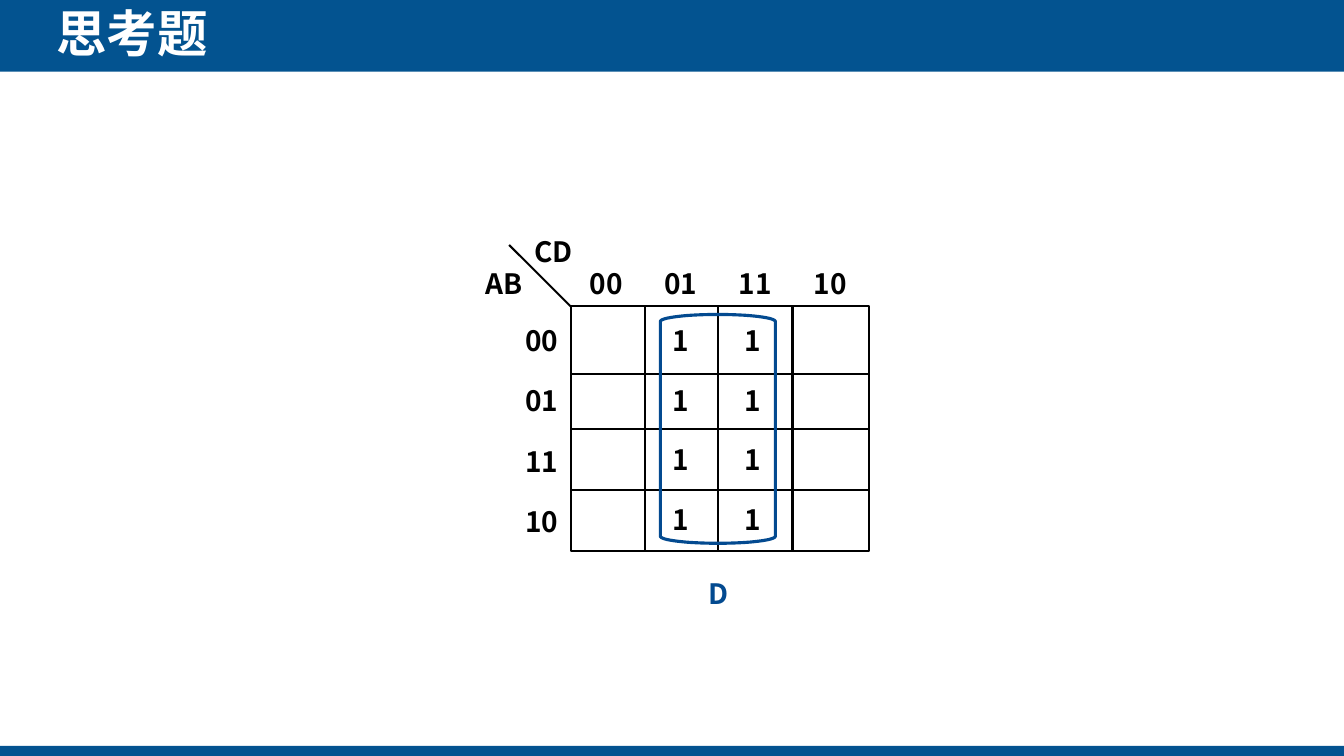
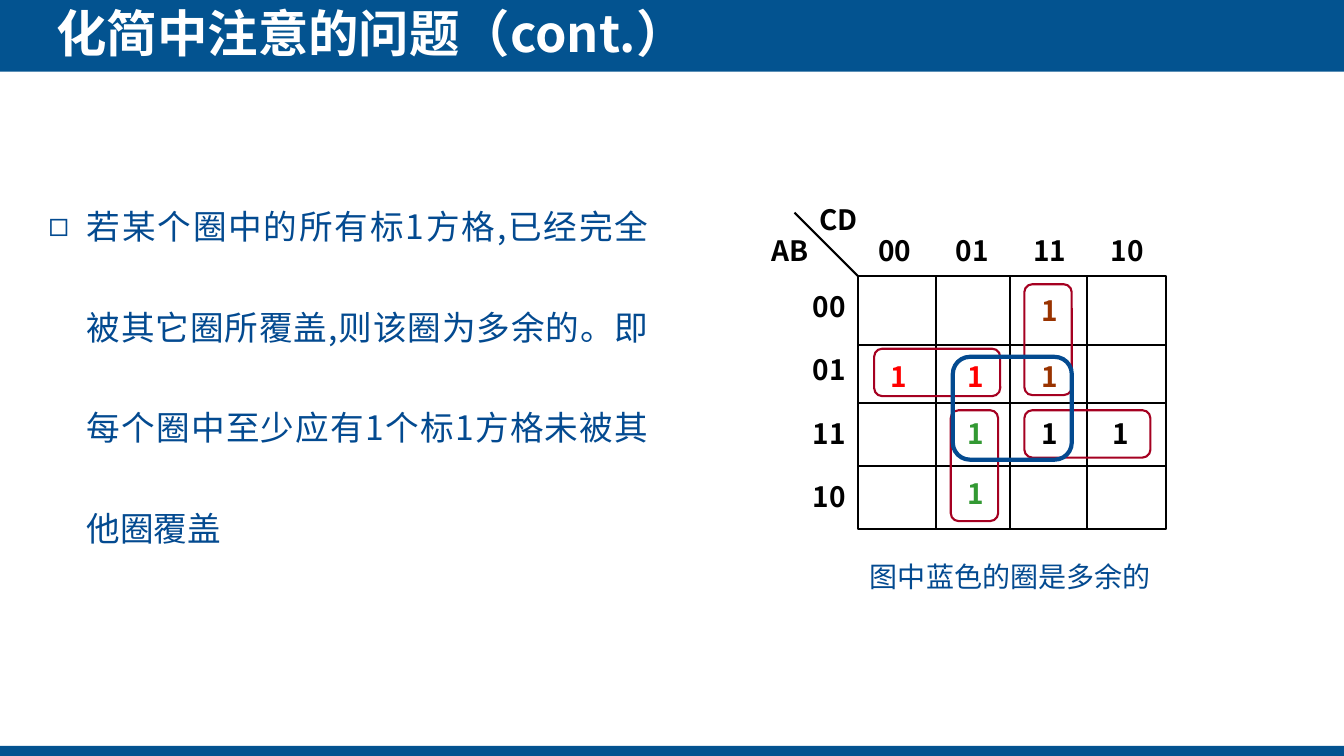
import math

from lxml import etree
from pptx import Presentation
from pptx.dml.color import RGBColor
from pptx.enum import shapes, text
from pptx.oxml import ns
from pptx.util import Inches, Pt

FONT = "Noto Sans CJK SC"
BAND, BLUE, CRIMSON = "035390", "034A90", "A50021"
BLACK, WHITE = "000000", "FFFFFF"
RED, BROWN, GREEN = "FF0000", "993300", "339933"
GRAY_CODE = ["00", "01", "11", "10"]


def rgb(colour):
    return RGBColor.from_string(colour)


def sub(parent, tag, **attrs):
    return etree.SubElement(parent, ns.qn(tag), **attrs)


def add_run(p, words, size, colour, bold=False):
    r = p.add_run()
    r.text = words
    r.font.name, r.font.size, r.font.bold = FONT, Pt(size), bold
    r.font.color.rgb = rgb(colour)
    sub(r.font._element, "a:ea", typeface=FONT)


def place(sp, x, y, w, h):
    sp.left, sp.top, sp.width, sp.height = map(Inches, (x, y, w, h))


def outline(sp, colour, width):
    sp.shadow.inherit = False
    sp.fill.background()
    sp.line.color.rgb = rgb(colour)
    sp.line.width = Pt(width)


def add_bands(prs, s):
    """Draw the top and bottom bands and move them behind the master's text."""
    tree = prs.slide_master.element.cSld.spTree
    for i, (y, h) in enumerate([(-0.03, 0.74), (7.4, 0.1)]):
        sp = s.shapes.add_shape(shapes.MSO_SHAPE.RECTANGLE, 0, Inches(y),
                                prs.slide_width, Inches(h))
        sp.shadow.inherit = False
        sp.fill.solid()
        sp.fill.fore_color.rgb = rgb(BAND)
        sp.line.fill.background()
        sp.element.nvSpPr.cNvPr.set("id", str(101 + i))
        tree.insert(2 + i, sp.element)


def set_title(s, words):
    sp = s.shapes.title
    place(sp, 0.56, 0.02, 8.57, 0.61)
    tf = sp.text_frame
    tf.margin_left = tf.margin_right = tf.margin_top = tf.margin_bottom = 0
    tf.vertical_anchor = text.MSO_ANCHOR.MIDDLE
    tf.auto_size = text.MSO_AUTO_SIZE.NONE
    p = tf.paragraphs[0]
    p.alignment = text.PP_ALIGN.LEFT
    add_run(p, words, 36, WHITE, bold=True)


def set_body(s, words):
    sp = s.placeholders[1]
    place(sp, 0.38, 1.39, 6.15, 3.97)
    tf = sp.text_frame
    tf.auto_size = text.MSO_AUTO_SIZE.NONE
    p = tf.paragraphs[0]
    p.alignment = text.PP_ALIGN.JUSTIFY
    p.line_spacing, p.space_before, p.space_after = 2.5, Pt(0), Pt(6)
    pPr = p._p.get_or_add_pPr()
    pPr.set("marL", str(Inches(0.38)))
    pPr.set("indent", str(-Inches(0.38)))
    sub(sub(pPr, "a:buClr"), "a:srgbClr", val=BLUE)
    sub(pPr, "a:buChar", char="◻")
    add_run(p, words, 24, BLUE)


def add_label(s, words, x, y, w, colour=BLACK, bold=True):
    sp = s.shapes.add_textbox(*map(Inches, (x, y, w, 0.44)))
    sp.text_frame.word_wrap = False
    add_run(sp.text_frame.paragraphs[0], words, 20, colour, bold)


def add_line(s, x1, y1, x2, y2):
    line = s.shapes.add_connector(shapes.MSO_CONNECTOR.STRAIGHT,
                                  *map(Inches, (x1, y1, x2, y2)))
    line.line.color.rgb = rgb(BLACK)
    line.line.width = Pt(1.5)
    sub(line._element.spPr, "a:effectLst")
    return line


def add_grid(s, xs, ys):
    """Draw a frame with inner lines; xs and ys include the frame's edges."""
    left, right, top, bottom = xs[0], xs[-1], ys[0], ys[-1]
    frame = s.shapes.add_shape(
        shapes.MSO_SHAPE.RECTANGLE,
        *map(Inches, (left, top, right - left, bottom - top)))
    outline(frame, BLACK, 1.5)
    for x in xs[1:-1]:
        add_line(s, x, top, x, bottom)
    for y in ys[1:-1]:
        line = add_line(s, left, y, right, y)
        if abs(y - (top + bottom) / 2) < 0.01:
            line.begin_connect(frame, 1)
            line.end_connect(frame, 3)


def add_karnaugh_map(s, xs, ys, head, pitch, diagonal):
    """Draw grid and headings; head is the first row and column label's offset
    from the grid corner, pitch the distance between labels, both (x, y)."""
    x, y = xs[0], ys[0]
    add_grid(s, xs, ys)
    add_line(s, x, y, x - diagonal, y - diagonal)
    head_y = y - diagonal + 0.16
    add_label(s, "AB", x - diagonal - 0.33, head_y, 0.6)
    add_label(s, "CD", x - diagonal + 0.15, y - diagonal - 0.15, 0.61)
    for i, code in enumerate(GRAY_CODE):
        add_label(s, code, x - 0.55, y + head[1] + i * pitch[1], 0.55)
        add_label(s, code, x + head[0] + i * pitch[0], head_y, 0.55)


def add_ones(s, lefts, tops, ones):
    """Write a 1 in each cell of ones, which maps (row, col) to a colour."""
    for (row, col), colour in ones.items():
        add_label(s, "1", lefts[col], tops[row], 0.38, colour)


def add_ring(s, x, y, w, h, colour=CRIMSON, width=1.5):
    sp = s.shapes.add_shape(shapes.MSO_SHAPE.ROUNDED_RECTANGLE,
                            *map(Inches, (x, y, w, h)))
    outline(sp, colour, width)


def add_barrel_ring(s, x, y, w, h, bulge, colour, width):
    """Ring with straight sides and half ellipses of height bulge at both ends."""
    steps = 32
    points = []
    for end, start in ((y + bulge, math.pi), (y + h - bulge, 0)):
        for i in range(steps + 1):
            angle = start + math.pi * i / steps
            points.append((Inches(x + w / 2 + w / 2 * math.cos(angle)),
                           Inches(end + bulge * math.sin(angle))))
    builder = s.shapes.build_freeform(*points[0])
    builder.add_line_segments(points[1:], close=True)
    outline(builder.convert_to_shape(), colour, width)


def build_exercise(s):
    set_title(s, "思考题")
    add_karnaugh_map(s, [5.66, 6.4, 7.12, 7.86, 8.62],
                     [3.04, 3.71, 4.26, 4.86, 5.47],
                     head=(0.09, 0.12), pitch=(0.74, 0.6), diagonal=0.61)
    add_ones(s, {1: 6.57, 2: 7.29}, [3.16, 3.76, 4.34, 4.94],
             {(r, c): BLACK for r in range(4) for c in (1, 2)})
    add_barrel_ring(s, 6.55, 3.12, 1.14, 2.27, 0.07, BLUE, 2.25)
    add_label(s, "D", 6.93, 5.67, 0.42, BLUE)


def build_redundant_ring(s):
    set_title(s, "化简中注意的问题（cont.）")
    set_body(s, "若某个圈中的所有标1方格,已经完全被其它圈所覆盖,则该圈为多余的。"
                "即每个圈中至少应有1个标1方格未被其他圈覆盖")
    add_karnaugh_map(s, [8.51, 9.28, 10.02, 10.78, 11.57],
                     [2.74, 3.42, 3.99, 4.62, 5.25],
                     head=(0.1, 0.08), pitch=(0.77, 0.63), diagonal=0.63)
    add_ones(s, [8.73, 9.5, 10.23, 10.94], [2.86, 3.52, 4.08, 4.68],
             {(0, 2): BROWN, (1, 2): BROWN, (1, 0): RED, (1, 1): RED,
              (2, 1): GREEN, (3, 1): GREEN, (2, 2): BLACK, (2, 3): BLACK})
    long, short = 1.25, 0.47
    for x, y in [(10.16, 2.82), (9.43, 4.07)]:
        add_ring(s, x, y, short, 1.1)
    for x, y in [(8.67, 3.46), (10.16, 4.07)]:
        add_ring(s, x, y, long, short)
    add_ring(s, 9.45, 3.54, 1.18, 1.02, BLUE, 3)
    add_label(s, "图中蓝色的圈是多余的", 8.53, 5.5, 3.01, BLUE, bold=False)


def main():
    prs = Presentation()
    prs.slide_width, prs.slide_height = Inches(13.33), Inches(7.5)
    title_and_content, title_only = prs.slide_layouts[1], prs.slide_layouts[5]
    s = prs.slides.add_slide(title_only)
    add_bands(prs, s)
    build_exercise(s)
    build_redundant_ring(prs.slides.add_slide(title_and_content))
    prs.save("out.pptx")


if __name__ == "__main__":
    main()
